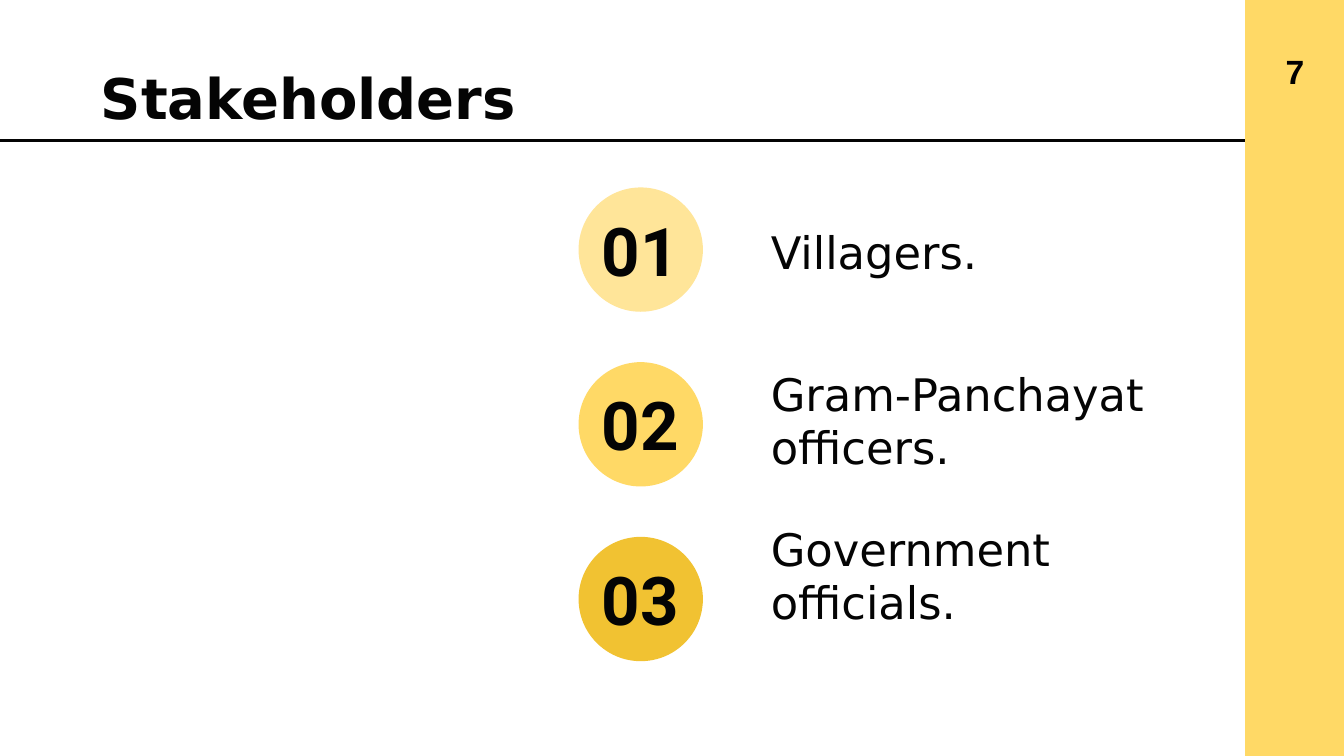
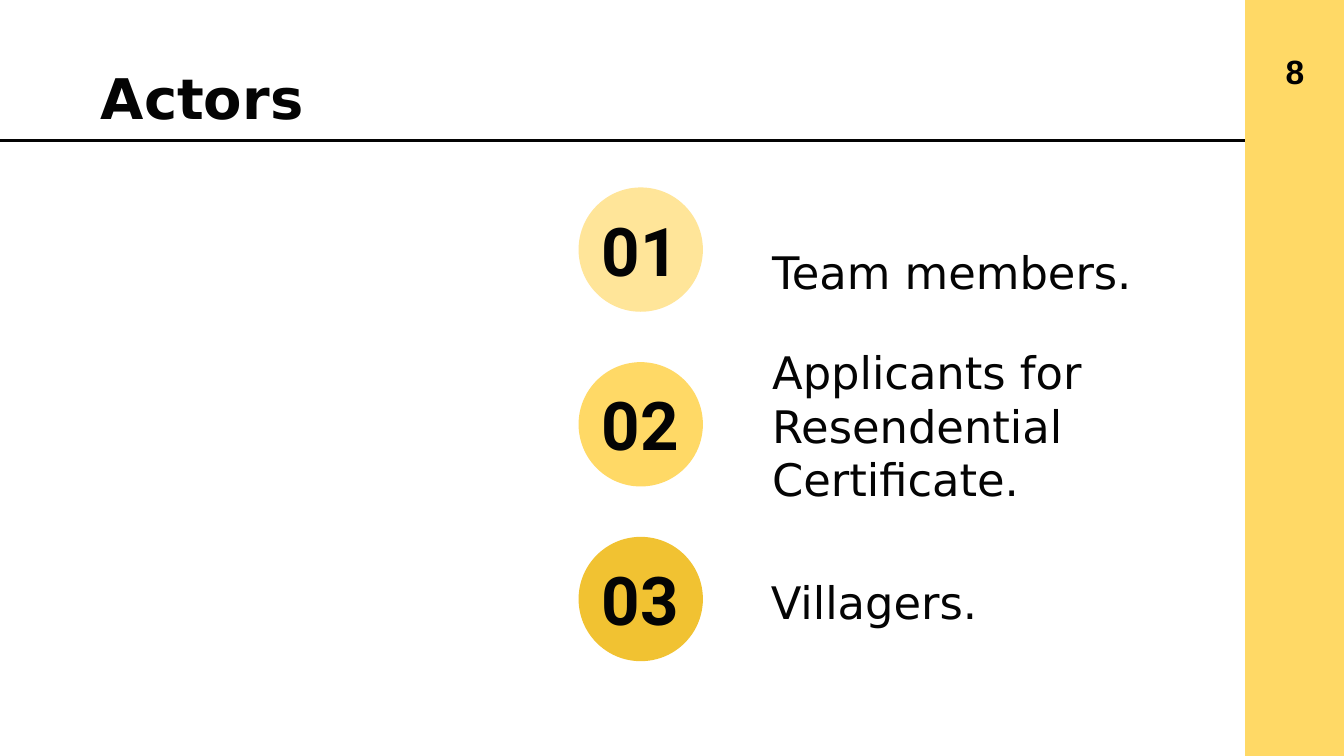
from dataclasses import dataclass

from pptx import Presentation
from pptx.dml.color import RGBColor
from pptx.enum.shapes import MSO_CONNECTOR, MSO_SHAPE
from pptx.enum.text import MSO_ANCHOR, MSO_AUTO_SIZE, PP_ALIGN
from pptx.oxml.ns import qn
from pptx.util import Pt

EMU_PER_PX = 4572
COMPARISON_LAYOUT = 4
STRAIGHT = MSO_CONNECTOR.STRAIGHT
OVAL, RECTANGLE = MSO_SHAPE.OVAL, MSO_SHAPE.RECTANGLE
TOP, MIDDLE, BOTTOM = MSO_ANCHOR.TOP, MSO_ANCHOR.MIDDLE, MSO_ANCHOR.BOTTOM
LEFT, CENTER = PP_ALIGN.LEFT, PP_ALIGN.CENTER
NO_AUTOFIT = MSO_AUTO_SIZE.NONE


@dataclass(frozen=True)
class Theme:
    """Colours and text styles shared by the slides."""

    ink: str = "040404"
    black: str = "000000"
    band: str = "FFD966"
    badges: tuple = ("FFE599", "FFD966", "F1C232")
    heading: tuple = ("DejaVu Sans", 30, True)
    item: tuple = ("DejaVu Sans", 24, False)
    badge_number: tuple = ("Roboto", 36, True)
    page_number: tuple = ("Arial", 18, True)


THEME = Theme()
SLIDE_WIDTH, SLIDE_HEIGHT = 2000, 1125
TEXT_MARGIN = 20
BAND_LEFT = 1853
RULE_TOP, RULE_RIGHT = 209, 2002
HEADING_BOX = (130, 74, 950, 148)
PAGE_BOX = (1887, 63, 80, 86)
BADGE_LEFT, BADGE_TOP, BADGE_SIZE, BADGE_PITCH = 861, 279, 185, 260
NUMBER_WIDTHS, NUMBER_HEIGHT = (234, 290, 264), 126
ITEM_SLOTS = (1, 2, 3)

SLIDES = (
    (7, "Stakeholders", (
        ("Villagers.", (1127, 208, 576, 226)),
        ("Gram-Panchayat officers.", (1127, 491, 644, 234)),
        ("Government officials.", (1127, 800, 528, 156)),
    )),
    (8, "Actors", (
        ("Team members.", (1129, 238, 576, 226)),
        ("Applicants for Resendential Certificate.", (1129, 539, 690, 234)),
        ("Villagers.", (1127, 800, 528, 156)),
    )),
)


def px(*lengths):
    """Turn px lengths into EMU."""
    return [length * EMU_PER_PX for length in lengths]


def set_values(target, values):
    """Set each named attribute of the target."""
    for name, value in values.items():
        setattr(target, name, value)


def place(shape, box):
    """Move and size a shape to a px box."""
    set_values(shape, dict(zip(("left", "top", "width", "height"), px(*box))))


def write(shape, text, style, color, anchor, align):
    """Write one formatted paragraph into a shape."""
    frame = shape.text_frame
    margins = dict.fromkeys(
        ("margin_left", "margin_top", "margin_right", "margin_bottom"),
        px(TEXT_MARGIN)[0])
    set_values(frame, {"text": text, "word_wrap": True, "auto_size": NO_AUTOFIT,
                       "vertical_anchor": anchor, **margins})
    paragraph = frame.paragraphs[0]
    set_values(paragraph, {"alignment": align, "space_before": Pt(0)})
    family, size, bold = style
    font = paragraph.runs[0].font
    set_values(font, {"name": family, "size": Pt(size), "bold": bold})
    font.color.rgb = RGBColor.from_string(color)


def add_filled(slide, kind, box, color):
    """Add a flat, unoutlined shape."""
    shape = slide.shapes.add_shape(kind, *px(*box))
    shape.shadow.inherit = False
    shape.fill.solid()
    shape.fill.fore_color.rgb = RGBColor.from_string(color)
    shape.line.fill.background()


def add_label(slide, box, text, style, color):
    """Add a centred text box."""
    label = slide.shapes.add_textbox(*px(*box))
    write(label, text, style, color, MIDDLE, CENTER)


def add_rule(slide):
    """Add the rule below the heading."""
    rule = slide.shapes.add_connector(
        STRAIGHT, *px(0, RULE_TOP, RULE_RIGHT, RULE_TOP))
    rule.line.width = Pt(1.5)
    rule.line.color.rgb = RGBColor.from_string(THEME.ink)
    properties = rule._element.spPr
    properties.append(properties.makeelement(qn("a:effectLst"), {}))


def add_page_band(slide, page):
    """Add the side band with its page number."""
    add_filled(slide, RECTANGLE,
               (BAND_LEFT, 0, SLIDE_WIDTH - BAND_LEFT, SLIDE_HEIGHT), THEME.band)
    add_label(slide, PAGE_BOX, str(page), THEME.page_number, THEME.black)


def add_badge(slide, order):
    """Add a numbered circle."""
    top, width = BADGE_TOP + order * BADGE_PITCH, NUMBER_WIDTHS[order]
    add_filled(slide, OVAL, (BADGE_LEFT, top, BADGE_SIZE, BADGE_SIZE),
               THEME.badges[order])
    number_box = (BADGE_LEFT + (BADGE_SIZE - width) // 2,
                  top + (BADGE_SIZE - NUMBER_HEIGHT) // 2, width, NUMBER_HEIGHT)
    add_label(slide, number_box, f"{order + 1:02}", THEME.badge_number, THEME.ink)


def fill_item(placeholder, text, box):
    """Fill a body placeholder with one unbulleted item."""
    place(placeholder, box)
    write(placeholder, text, THEME.item, THEME.ink, BOTTOM, LEFT)
    properties = placeholder.text_frame.paragraphs[0]._p.get_or_add_pPr()
    for name in ("marL", "indent"):
        properties.set(name, "0")
    properties.append(properties.makeelement(qn("a:buNone"), {}))


def remove_empty_placeholders(slide):
    """Remove the placeholders left without text."""
    for placeholder in list(slide.placeholders):
        if not placeholder.text_frame.text:
            placeholder._element.getparent().remove(placeholder._element)


def build_slide(presentation, page, heading, items):
    """Build a slide listing numbered items."""
    slide = presentation.slides.add_slide(
        presentation.slide_layouts[COMPARISON_LAYOUT])
    add_rule(slide)
    place(slide.shapes.title, HEADING_BOX)
    write(slide.shapes.title, heading, THEME.heading, THEME.ink, TOP, LEFT)
    for order, (text, box) in enumerate(items):
        add_badge(slide, order)
        fill_item(slide.placeholders[ITEM_SLOTS[order]], text, box)
    add_page_band(slide, page)
    remove_empty_placeholders(slide)


def main():
    """Build and save the presentation."""
    presentation = Presentation()
    set_values(presentation, dict(zip(("slide_width", "slide_height"),
                                      px(SLIDE_WIDTH, SLIDE_HEIGHT))))
    for page, heading, items in SLIDES:
        build_slide(presentation, page, heading, items)
    presentation.save("out.pptx")


if __name__ == "__main__":
    main()
